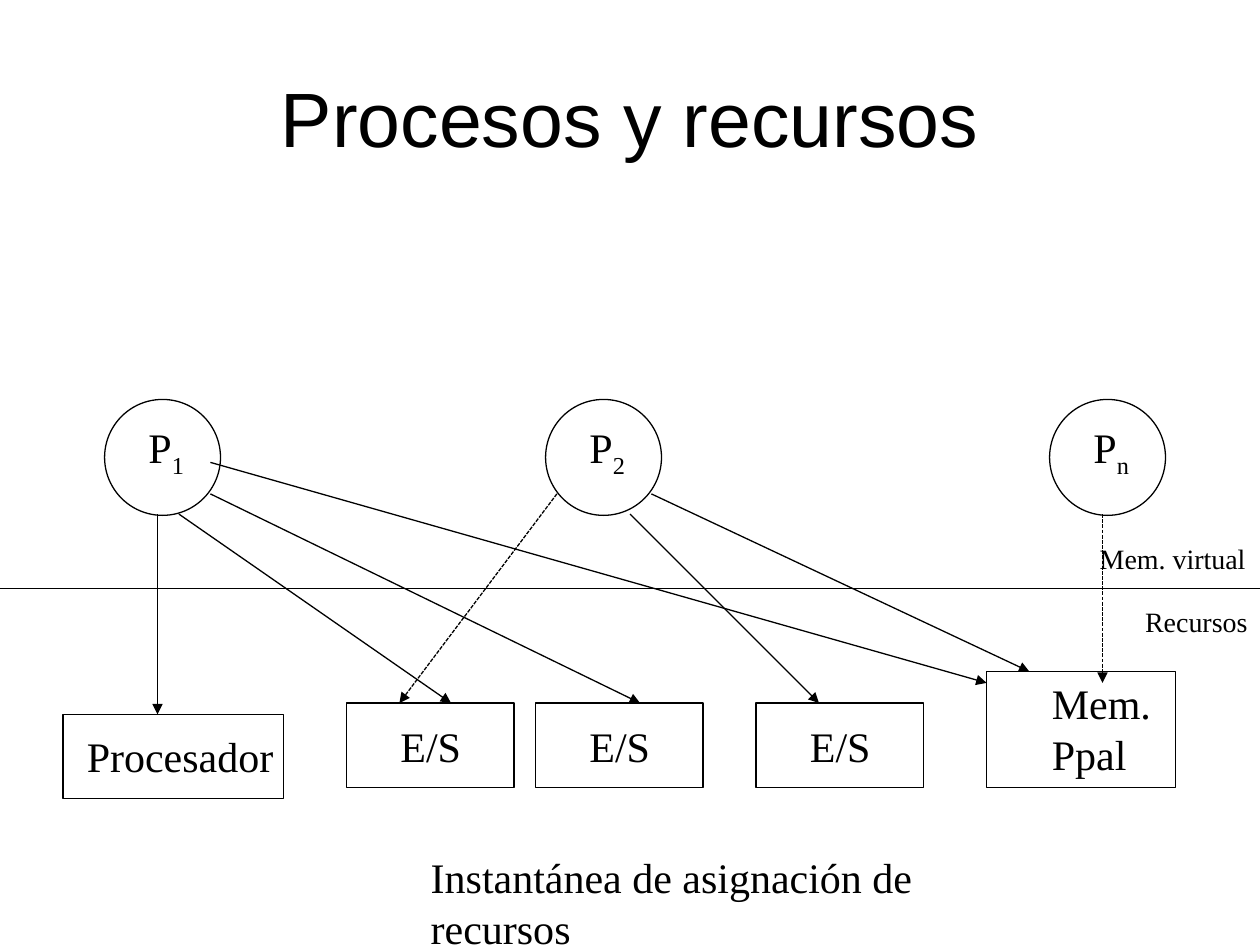
from dataclasses import dataclass

from pptx import Presentation
from pptx.dml.color import RGBColor
from pptx.enum.dml import MSO_LINE
from pptx.enum.shapes import MSO_CONNECTOR, MSO_SHAPE
from pptx.enum.text import MSO_ANCHOR, PP_ALIGN
from pptx.oxml.ns import qn
from pptx.slide import Slide
from pptx.text.text import TextFrame
from pptx.util import Inches, Pt
from lxml.etree import SubElement

BLACK = RGBColor(0, 0, 0)
SERIF = "Times New Roman"
THIN = Pt(0.75)


@dataclass
class Label:
    text: str
    left: float
    top: float
    width: float
    height: float = 0.5
    size: int = 24
    font: str = SERIF
    wrap: bool = False


@dataclass
class Box:
    left: float
    top: float
    width: float
    height: float
    kind: MSO_SHAPE = MSO_SHAPE.RECTANGLE


@dataclass
class Link:
    start: tuple[float, float]
    end: tuple[float, float]
    dotted: bool = False
    arrow: bool = True


TITLE = Label("Procesos y recursos", 0.5, 0.3, 9, 1.25, 44, "Arial", True)
NODES = {"1": 0.83, "2": 4.33, "n": 8.33}
DEVICES = [2.75, 4.25, 6]
BOXES = [Box(0.5, 5.67, 1.75, 0.67), Box(7.83, 5.33, 1.5, 0.92)]
LABELS = [
    Label("Procesador", 0.59, 5.75, 1.68),
    Label("Mem.\nPpal", 8.25, 5.33, 1.35, 0.9, wrap=True),
    Label("Recursos", 8.99, 4.75, 1.01, 0.37, 16),
    Label("Mem. virtual", 8.63, 4.25, 1.37, 0.37, 16, wrap=True),
    Label("Instantánea de asignación de recursos", 3.32, 6.71, 5.21),
]
LINKS = [
    Link((0, 4.67), (10, 4.67), arrow=False),
    Link((1.25, 4.08), (1.25, 5.67)),
    Link((1.42, 4.08), (3.58, 5.58)),
    Link((1.67, 3.92), (5.08, 5.58)),
    Link((1.67, 3.67), (7.83, 5.42)),
    Link((4.42, 3.92), (3.17, 5.58), dotted=True),
    Link((5, 4.08), (6.5, 5.58)),
    Link((5.17, 3.92), (8.17, 5.33)),
    Link((8.75, 4.08), (8.75, 5.42), dotted=True),
]


def add_label(slide: Slide, label: Label) -> TextFrame:
    area = map(Inches, (label.left, label.top, label.width, label.height))
    frame = slide.shapes.add_textbox(*area).text_frame
    frame.word_wrap = label.wrap
    frame.text = label.text
    for line in frame.paragraphs:
        line.font.size = Pt(label.size)
        line.font.name = label.font
        line.font.color.rgb = BLACK
    return frame


def add_box(slide: Slide, box: Box) -> None:
    area = map(Inches, (box.left, box.top, box.width, box.height))
    shape = slide.shapes.add_shape(box.kind, *area)
    shape.shadow.inherit = False
    shape.fill.background()
    shape.line.color.rgb = BLACK
    shape.line.width = THIN


def add_node(slide: Slide, index: str, left: float) -> None:
    add_box(slide, Box(left, 3.17, 0.92, 0.92, MSO_SHAPE.OVAL))
    frame = add_label(slide, Label("P", left + 0.25, 3.3, 0.48, 0.56))
    run = frame.paragraphs[0].add_run()
    run.text = index
    run.font._element.set("baseline", "-25000")


def add_device(slide: Slide, left: float) -> None:
    add_box(slide, Box(left, 5.58, 1.33, 0.67))
    add_label(slide, Label("E/S", left + 0.33, 5.67, 0.68))


def add_link(slide: Slide, link: Link) -> None:
    ends = map(Inches, (*link.start, *link.end))
    wire = slide.shapes.add_connector(MSO_CONNECTOR.STRAIGHT, *ends)
    wire.line.color.rgb = BLACK
    wire.line.width = THIN
    if link.dotted:
        wire.line.dash_style = MSO_LINE.ROUND_DOT
        wire.line.dash_style = MSO_LINE.SQUARE_DOT
    if link.arrow:
        SubElement(wire.line._get_or_add_ln(), qn("a:tailEnd"), type="triangle")
    SubElement(wire._element.spPr, qn("a:effectLst"))


def main() -> None:
    deck = Presentation()
    deck.slide_width, deck.slide_height = Inches(10), Inches(7.5)
    slide = deck.slides.add_slide(deck.slide_layouts[6])
    title = add_label(slide, TITLE)
    title.vertical_anchor = MSO_ANCHOR.MIDDLE
    title.paragraphs[0].alignment = PP_ALIGN.CENTER
    for index, left in NODES.items():
        add_node(slide, index, left)
    for box in BOXES:
        add_box(slide, box)
    for left in DEVICES:
        add_device(slide, left)
    for link in LINKS:
        add_link(slide, link)
    for label in LABELS:
        add_label(slide, label)
    deck.save("out.pptx")


if __name__ == "__main__":
    main()
